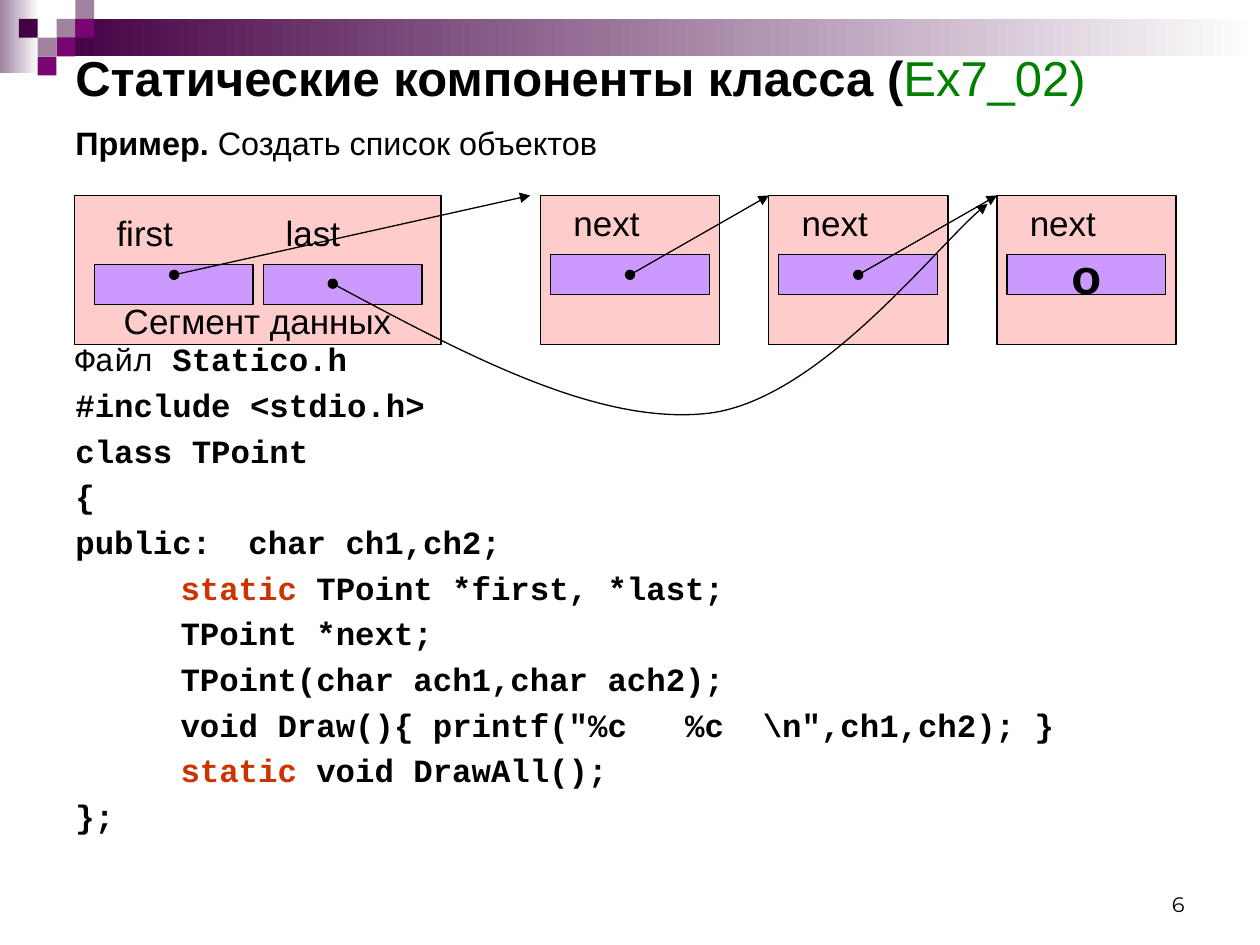
from lxml import etree
from pptx import Presentation
from pptx.dml.color import RGBColor
from pptx.enum.shapes import MSO_CONNECTOR, MSO_SHAPE
from pptx.enum.text import MSO_ANCHOR, MSO_AUTO_SIZE, PP_ALIGN
from pptx.oxml.ns import qn
from pptx.util import Cm, Pt

RECT, STRAIGHT = MSO_SHAPE.RECTANGLE, MSO_CONNECTOR.STRAIGHT
TOP, MIDDLE, BOTTOM = MSO_ANCHOR.TOP, MSO_ANCHOR.MIDDLE, MSO_ANCHOR.BOTTOM
LEFT, CENTER, RIGHT = PP_ALIGN.LEFT, PP_ALIGN.CENTER, PP_ALIGN.RIGHT
NO_FIT = MSO_AUTO_SIZE.NONE

BLACK = RGBColor(0x00, 0x00, 0x00)
WHITE = RGBColor(0xFF, 0xFF, 0xFF)
GREEN = RGBColor(0x00, 0x80, 0x00)
RED = RGBColor(0xCC, 0x33, 0x00)
PINK = RGBColor(0xFF, 0xCC, 0xCC)
LILAC = RGBColor(0xCC, 0x99, 0xFF)
DARK = RGBColor(0x44, 0x00, 0x44)
MAUVE = RGBColor(0x9F, 0x83, 0x9F)
PLUM = RGBColor(0x79, 0x05, 0x71)

BODY = {"name": "Arial", "size": Pt(18.5)}
LABEL = {"name": "Arial", "size": Pt(20)}
NULL_MARK = {"name": "Arial", "size": Pt(28), "bold": True}
CODE = {"name": "Courier New", "size": Pt(18.5), "bold": True}


class SlideBuilder:
    """Holds the style and the current slide."""

    def __init__(self, slide, line_width=Pt(0.75)):
        """Remember the slide and the common line width."""
        self.slide = slide
        self.shapes = slide.shapes
        self.line_width = line_width

    def add_runs(self, p, runs, style):
        """Add runs given as (text, format changes) pairs."""
        for text, changes in runs:
            r = p.add_run()
            r.text = text
            fmt = {"color": BLACK, **style, **changes}
            r.font.color.rgb = fmt.pop("color")
            for name, value in fmt.items():
                setattr(r.font, name, value)

    def frame(self, sp, anchor=TOP, wrap=True, bottom=0.13):
        """Set up the text frame of a shape and return it."""
        tf = sp.text_frame
        settings = {"auto_size": NO_FIT, "word_wrap": wrap, "vertical_anchor": anchor,
                    "margin_left": Cm(0.25), "margin_right": Cm(0.25),
                    "margin_top": Cm(0.13), "margin_bottom": Cm(bottom)}
        for name, value in settings.items():
            setattr(tf, name, value)
        return tf

    def title(self, x, y, w, h, runs, style):
        """Place and fill the title placeholder."""
        sp = self.shapes.title
        sp.left, sp.top, sp.width, sp.height = Cm(x), Cm(y), Cm(w), Cm(h)
        p = self.frame(sp, MIDDLE).paragraphs[0]
        p.alignment = LEFT
        self.add_runs(p, runs, style)

    def text(self, x, y, w, h, runs, style, align=LEFT, anchor=TOP, wrap=True):
        """Add a text box with one paragraph."""
        sp = self.shapes.add_textbox(Cm(x), Cm(y), Cm(w), Cm(h))
        p = self.frame(sp, anchor, wrap).paragraphs[0]
        p.alignment = align
        self.add_runs(p, runs, style)

    def code(self, x, y, w, h, lines):
        """Add a listing; each line is (left margin, first indent, runs)."""
        sp = self.shapes.add_textbox(Cm(x), Cm(y), Cm(w), Cm(h))
        tf = self.frame(sp)
        for i, (margin, indent, runs) in enumerate(lines):
            p = tf.add_paragraph() if i else tf.paragraphs[0]
            p.line_spacing = 0.9
            p.space_before = Pt(6.1 if i else 0)
            pPr = p._p.get_or_add_pPr()
            pPr.set("marL", str(Cm(margin)))
            pPr.set("indent", str(Cm(indent)))
            self.add_runs(p, runs, CODE)

    def box(self, x, y, w, h, fill, outline=True, fade=False):
        """Add a rectangle, plain or fading to white, and return it."""
        sp = self.shapes.add_shape(RECT, Cm(x), Cm(y), Cm(w), Cm(h))
        sp.shadow.inherit = False
        if fade:
            sp.fill.gradient()
            sp.fill.gradient_angle = 0
            for stop, color in zip(sp.fill.gradient_stops, (fill, WHITE)):
                stop.color.rgb = color
        else:
            sp.fill.solid()
            sp.fill.fore_color.rgb = fill
        if outline:
            self.outline(sp)
        else:
            sp.line.fill.background()
        return sp

    def caption(self, sp, text, style, anchor=MIDDLE, bottom=0.13):
        """Put centred text inside a shape."""
        p = self.frame(sp, anchor, False, bottom).paragraphs[0]
        p.alignment = CENTER
        self.add_runs(p, [(text, {})], style)

    def outline(self, sp, ends=False):
        """Draw a black line, with a dot and an arrowhead if asked."""
        sp.line.color.rgb = BLACK
        sp.line.width = self.line_width
        if ends:
            ln = sp._element.spPr.find(qn("a:ln"))
            etree.SubElement(ln, qn("a:headEnd"), type="oval")
            etree.SubElement(ln, qn("a:tailEnd"), type="triangle")

    def arrow(self, x1, y1, x2, y2):
        """Add a straight pointer."""
        sp = self.shapes.add_connector(STRAIGHT, Cm(x1), Cm(y1), Cm(x2), Cm(y2))
        self.outline(sp, ends=True)
        etree.SubElement(sp._element.spPr, qn("a:effectLst"))

    def curve(self, points):
        """Add a curved pointer through cubic Bezier points."""
        units = [(round(x * 100), round(y * 100)) for x, y in points]
        builder = self.shapes.build_freeform(*units[0], scale=Cm(0.01))
        builder.add_line_segments(units[1:], close=False)
        sp = builder.convert_to_shape()
        sp.shadow.inherit = False
        sp.fill.background()
        self.outline(sp, ends=True)
        route = next(sp._element.iter(qn("a:pathLst")))[0]
        steps = route.findall(qn("a:lnTo"))
        for i in range(0, len(steps), 3):
            bezier = etree.SubElement(route, qn("a:cubicBezTo"))
            for step in steps[i:i + 3]:
                bezier.append(step[0])
                route.remove(step)


def draw_header(s):
    """Draw the fading bars and the mosaic of squares."""
    s.box(0, 0, 0.79, 1.47, MAUVE, outline=False, fade=True)
    s.box(1.14, 0.38, 24.26, 0.76, DARK, outline=False, fade=True)
    side = 0.38
    squares = [(3, 1, MAUVE), (4, 0, MAUVE), (4, 1, PLUM), (2, 2, MAUVE),
               (1, 1, DARK), (3, 2, PLUM), (2, 3, PLUM)]
    for col, row, color in squares:
        s.box(col * side, row * side, side, side, color, outline=False)


def draw_list(s):
    """Draw the data segment, the linked objects and the pointers."""
    top, node_x, pitch = 3.94, 10.9, 4.6
    slot_w, slot_h, arrow_y = 3.2, 0.81, 5.54
    segment = s.box(1.5, top, 7.39, 3, PINK)
    s.caption(segment, "Сегмент данных", LABEL, BOTTOM, 0.05)
    for i, name in enumerate(("first", "last")):
        x = 1.9 + i * 3.41
        s.box(x, 5.33, slot_w, slot_h, LILAC)
        s.text(x + 0.2, 4.14, 1.65, 1.12, [(name, {})], LABEL, wrap=False)
    for i in range(3):
        x = node_x + i * pitch
        s.box(x, top, 3.61, 3, PINK)
        slot = s.box(x + 0.2, 5.13, slot_w, slot_h, LILAC)
        s.text(x + 0.41, top, 1.83, 1.12, [("next", {})], LABEL, wrap=False)
    s.caption(slot, "o", NULL_MARK)
    s.arrow(3.51, arrow_y, 10.69, top)
    for i in range(2):
        x = node_x + i * pitch
        s.arrow(x + 1.8, arrow_y, x + pitch, top)
    s.curve([(6.71, 5.72), (9.4, 7.16), (12.09, 8.59), (14.3, 8.33),
             (16.51, 8.05), (19.08, 4.7), (19.91, 4.11)])


def main():
    """Build and save the slide."""
    prs = Presentation()
    prs.slide_width, prs.slide_height = Cm(25.4), Cm(19.05)
    s = SlideBuilder(prs.slides.add_slide(prs.slide_layouts[5]))
    draw_header(s)
    s.title(1.27, 0.75, 22.86, 1.6,
            [("Статические компоненты класса (", {}),
             ("Ex7_02)", {"color": GREEN, "bold": False})], NULL_MARK)
    s.text(1.27, 2.36, 22.86, 1.1,
           [("Пример. ", {"bold": True}), ("Создать список объектов", {})], BODY)
    red, member = {"color": RED}, 2.12
    s.code(1.27, 6.8, 22.86, 10.5, [
        (0, 0, [("Файл ", {"bold": False}), ("Statico.h", {})]),
        (0, 0, [("#include <stdio.h>", {})]),
        (0, 0, [("class TPoint", {})]),
        (0, 0, [("{", {})]),
        (3.49, -3.49, [("public:\tchar ch1,ch2;", {})]),
        (member, 0, [("static ", red), ("TPoint *first, *last;", {})]),
        (member, 0, [("TPoint *next;", {})]),
        (member, 0, [("TPoint(char ach1,char ach2);", {})]),
        (member, 0, [('void Draw(){ printf("%c   %c  \\n",ch1,ch2); }', {})]),
        (member, 0, [("static", red), (" void DrawAll();", {})]),
        (0, 0, [("};", {})]),
    ])
    draw_list(s)
    s.text(18.21, 17.35, 5.92, 1.27, [("6", {})],
           {"name": "Montserrat", "size": Pt(12)}, RIGHT, BOTTOM)
    prs.save("out.pptx")


main()
